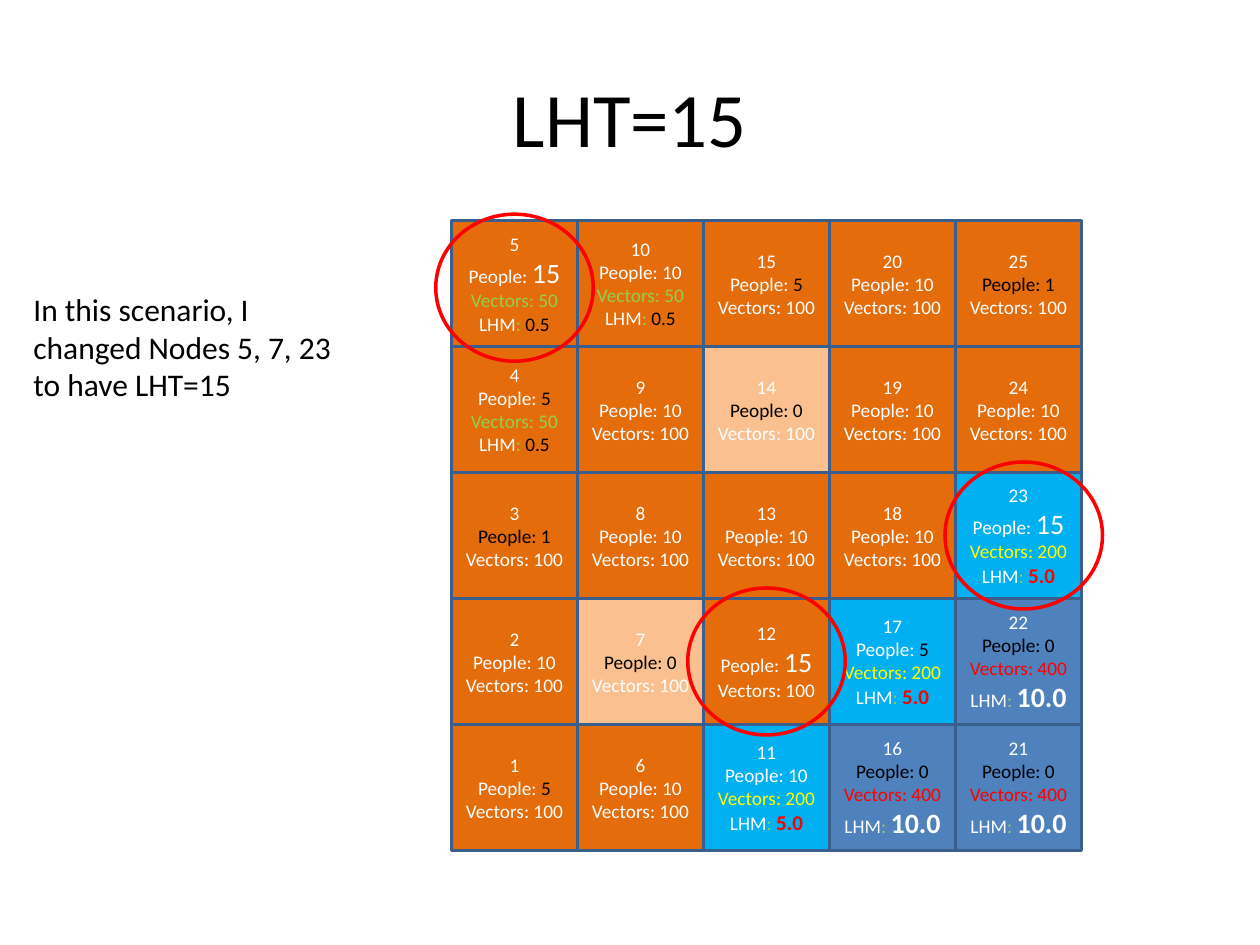
"""Build the LHT=15 slide: a five-by-five grid of nodes with three circled."""
from dataclasses import dataclass

from pptx import Presentation
from pptx.dml.color import RGBColor
from pptx.enum.shapes import MSO_SHAPE
from pptx.enum.text import MSO_ANCHOR, PP_ALIGN
from pptx.util import Pt


@dataclass(frozen=True)
class Theme:
    font: str = "Calibri"
    title: float = 44
    body: float = 18
    large: float = 16
    medium: float = 12
    small: float = 11
    border: float = 2
    black: str = "000000"
    white: str = "FFFFFF"
    red: str = "FF0000"
    green: str = "92D050"
    yellow: str = "FFFF00"
    orange: str = "E46C0A"
    pale: str = "FAC090"
    cyan: str = "00B0F0"
    blue: str = "4F81BD"
    outline: str = "3A5F8C"


class Deck:
    def __init__(self, s, theme):
        self.s = s
        self.t = theme

    def style(self, font, size, color, bold=False):
        font.name = self.t.font
        font.size = Pt(size)
        font.bold = bold
        font.color.rgb = RGBColor.from_string(color)

    def add_lines(self, tf, lines, align):
        for i, runs in enumerate(lines):
            p = tf.paragraphs[0] if i == 0 else tf.add_paragraph()
            p.alignment = align
            self.style(p.font, *runs[0][1:])
            for text, *look in runs:
                r = p.add_run()
                r.text = text
                self.style(r.font, *look)

    def text(self, box, text, size, align=PP_ALIGN.LEFT, anchor=MSO_ANCHOR.TOP):
        tf = self.s.shapes.add_textbox(*map(Pt, box)).text_frame
        tf.word_wrap = True
        tf.vertical_anchor = anchor
        self.add_lines(tf, [[(text, size, self.t.black)]], align)

    def shape(self, kind, box, line, fill=None):
        sp = self.s.shapes.add_shape(kind, *map(Pt, box))
        sp.shadow.inherit = False
        sp.line.color.rgb = RGBColor.from_string(line)
        sp.line.width = Pt(self.t.border)
        if fill:
            sp.fill.solid()
            sp.fill.fore_color.rgb = RGBColor.from_string(fill)
        else:
            sp.fill.background()
        return sp

    def node(self, box, number, people, vectors):
        t = self.t
        fill, vector_color, lhm = {
            50: (t.orange, t.green, ("0.5", t.small, t.black)),
            100: (t.orange, t.white, None),
            200: (t.cyan, t.yellow, ("5.0", t.medium, t.red, True)),
            400: (t.blue, t.red, ("10.0", t.large, t.white, True)),
        }[vectors]
        if people == 0 and vectors == 100:
            fill = t.pale
        label_color = t.black if people < 5 else t.white
        count_color = t.black if people <= 5 else t.white
        count_size = t.large if people == 15 else t.small
        lines = [
            [(str(number), t.small, t.white)],
            [("People: ", t.small, label_color), (str(people), count_size, count_color)],
            [(f"Vectors: {vectors}", t.small, vector_color)],
        ]
        if lhm:
            lines.append([("LHM", t.small, t.white), (": ", t.small, t.green), lhm])
        tf = self.shape(MSO_SHAPE.RECTANGLE, box, t.outline, fill).text_frame
        tf.word_wrap = True
        tf.vertical_anchor = MSO_ANCHOR.MIDDLE
        self.add_lines(tf, lines, PP_ALIGN.CENTER)

    def ring(self, left, top):
        self.shape(MSO_SHAPE.OVAL, (left, top, 90, 84), self.t.red)


CELL, ROWS = 72, 5
GRID_LEFT, GRID_TOP = 258, 126
PEOPLE = [5, 10, 1, 5, 15,
          10, 0, 10, 10, 10,
          10, 15, 10, 0, 5,
          0, 5, 10, 10, 10,
          0, 0, 15, 10, 1]
VECTORS = {4: 50, 5: 50, 10: 50, 11: 200, 17: 200, 23: 200,
           16: 400, 21: 400, 22: 400}
RINGS = [(540, 264), (249, 122.4), (393, 336)]

prs = Presentation()
prs.slide_width, prs.slide_height = Pt(720), Pt(540)
t = Theme()
deck = Deck(prs.slides.add_slide(prs.slide_layouts[6]), t)

deck.text((36, 21.6, 648, 90), "LHT=15", t.title, PP_ALIGN.CENTER, MSO_ANCHOR.MIDDLE)
for i, people in enumerate(PEOPLE):
    col, row = divmod(i, ROWS)
    box = (GRID_LEFT + col * CELL, GRID_TOP + (ROWS - 1 - row) * CELL, CELL, CELL)
    deck.node(box, i + 1, people, VECTORS.get(i + 1, 100))
for left, top in RINGS:
    deck.ring(left, top)
deck.text((12, 162, 192, 72.7),
          "In this scenario, I changed Nodes 5, 7, 23 to have LHT=15", t.body)

prs.save("out.pptx")
